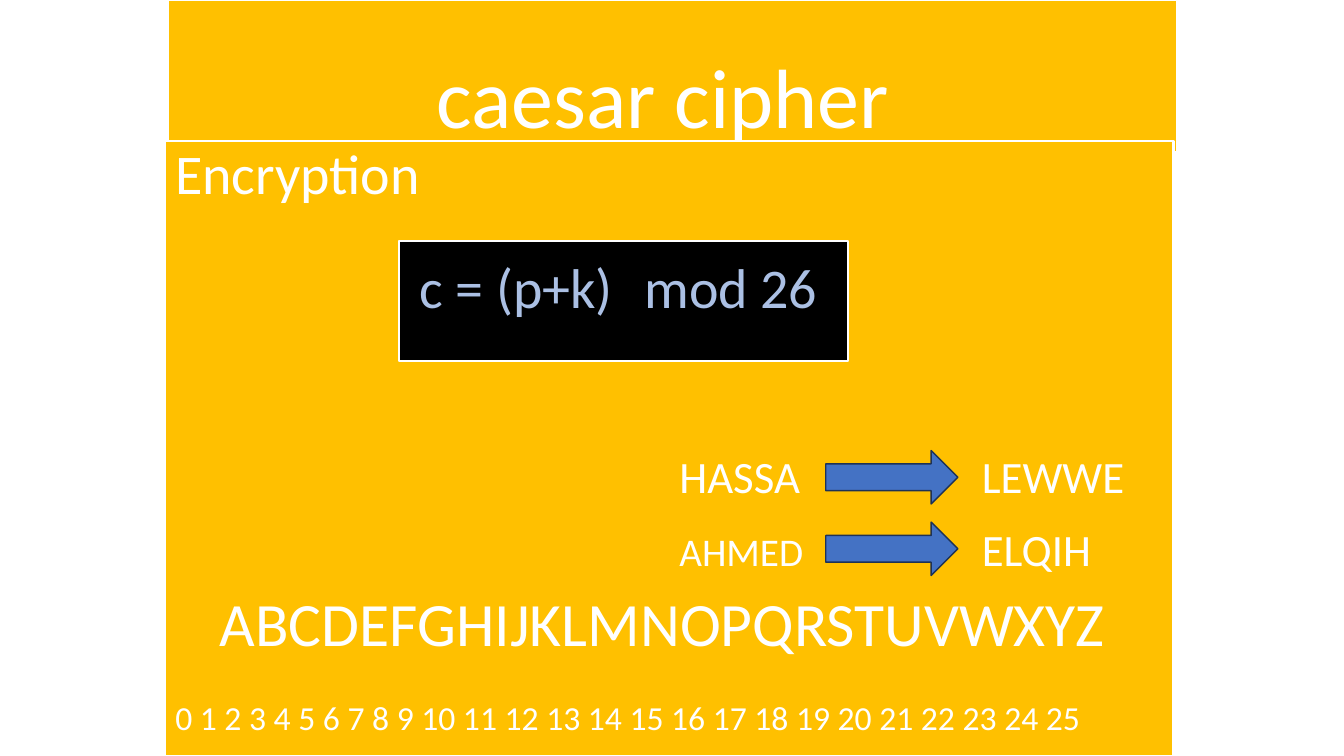
"""Build a slide on Caesar cipher encryption with a formula and two worked examples."""
import lxml.etree
import pptx
import pptx.util
import pptx.dml.color
import pptx.enum.shapes
import pptx.enum.text
import pptx.oxml.ns
from dataclasses import dataclass

Inches, Pt = pptx.util.Inches, pptx.util.Pt
Shape = pptx.enum.shapes.MSO_SHAPE
Align = pptx.enum.text.PP_ALIGN
Anchor = pptx.enum.text.MSO_ANCHOR


@dataclass(frozen=True)
class Theme:
    font: str = "Calibri"
    panel: str = "FFC000"
    white: str = "FFFFFF"
    black: str = "000000"
    formula: str = "ABC0E4"
    arrow: str = "4472C4"
    arrow_edge: str = "1E3256"
    title_size: int = 60
    heading_size: int = 40
    alphabet_size: int = 44
    word_size: int = 32
    small_word_size: int = 28
    number_size: int = 24


theme = Theme()


def paint(box, fill, edge, edge_width):
    box.fill.solid()
    box.fill.fore_color.rgb = pptx.dml.color.RGBColor.from_string(fill)
    box.line.color.rgb = pptx.dml.color.RGBColor.from_string(edge)
    box.line.width = Pt(edge_width)


def style(para, size, color, align):
    para.alignment = align
    for span in para.runs:
        span.font.name = theme.font
        span.font.size = Pt(size)
        span.font.color.rgb = pptx.dml.color.RGBColor.from_string(color)


deck = pptx.Presentation()
deck.slide_width, deck.slide_height = Inches(13.33), Inches(7.5)
page = deck.slides.add_slide(deck.slide_layouts.get_by_name("Title Only"))

title = page.shapes.title
title.left, title.top = Inches(1.67), Inches(0)
title.width, title.height = Inches(10), Inches(1.51)
paint(title, theme.panel, theme.white, 1.5)
title.text_frame.text = "caesar cipher "
title.text_frame.auto_size = pptx.enum.text.MSO_AUTO_SIZE.NONE
title.text_frame.vertical_anchor = Anchor.BOTTOM
title.text_frame.paragraphs[0].line_spacing = 0.9
style(title.text_frame.paragraphs[0], theme.title_size, theme.white, Align.CENTER)

panel = page.shapes.add_shape(
    Shape.RECTANGLE, Inches(1.64), Inches(1.4), Inches(10), Inches(6.1))
panel.shadow.inherit = False
paint(panel, theme.panel, theme.white, 1.5)
panel.text_frame.word_wrap = True
panel.text_frame.vertical_anchor = Anchor.TOP

numbers = " ".join(str(number) for number in range(26))
lines = [
    (["Encryption"], [theme.heading_size], 0, [], Align.LEFT),
    (["\tHASSA", "\tLEWWE"], [theme.word_size] * 2, 177, [5, 8], Align.LEFT),
    (["\tAHMED", "\tELQIH"], [theme.small_word_size, theme.word_size], 18, [5, 8], Align.LEFT),
    (["ABCDEFGHIJKLMNOPQRSTUVWXYZ "], [theme.alphabet_size], 12, [], Align.CENTER),
    ([numbers], [theme.number_size], 30, [], Align.LEFT),
]
for index, (words, sizes, gap, stops, align) in enumerate(lines):
    frame = panel.text_frame
    para = frame.paragraphs[0] if index == 0 else frame.add_paragraph()
    for word in words:
        para.add_run().text = word
    style(para, sizes[0], theme.white, align)
    para.runs[-1].font.size = Pt(sizes[-1])
    para.line_spacing = 0.9
    para.space_before = Pt(gap)
    if stops:
        tabs = lxml.etree.SubElement(
            para._p.get_or_add_pPr(), pptx.oxml.ns.qn("a:tabLst"))
        for stop in stops:
            lxml.etree.SubElement(
                tabs, pptx.oxml.ns.qn("a:tab"), pos=str(Inches(stop)), algn="l")

formula = page.shapes.add_shape(
    Shape.RECTANGLE, Inches(3.96), Inches(2.39), Inches(4.45), Inches(1.19))
formula.shadow.inherit = False
paint(formula, theme.black, theme.white, 1.5)
formula.text_frame.text = "c = (p+k) mod 26"
formula.text_frame.word_wrap = True
formula.text_frame.vertical_anchor = Anchor.MIDDLE
formula.text_frame.margin_bottom = Inches(0.34)
formula.text_frame._txBody.bodyPr.set("numCol", "2")
style(formula.text_frame.paragraphs[0], theme.heading_size, theme.formula, Align.CENTER)

for row in range(2):
    arrow = page.shapes.add_shape(
        Shape.RIGHT_ARROW, Inches(8.19), Inches(4.47 + 0.71 * row),
        Inches(1.31), Inches(0.53))
    arrow.shadow.inherit = False
    paint(arrow, theme.arrow, theme.arrow_edge, 1)

deck.save("out.pptx")
